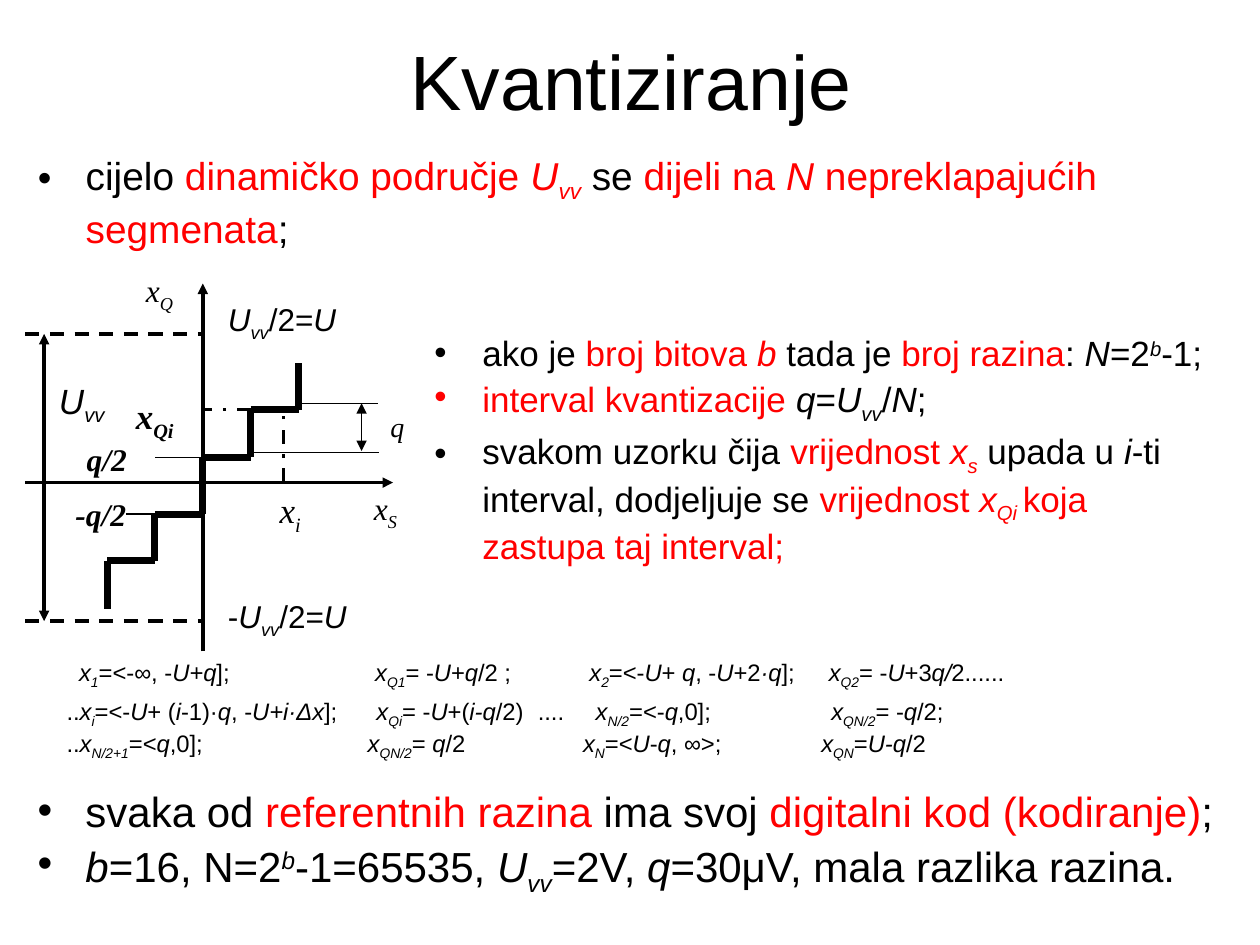
from dataclasses import dataclass
from itertools import pairwise
from lxml.etree import SubElement as Sub
from pptx import Presentation
from pptx.dml.color import RGBColor as Rgb
from pptx.enum.dml import MSO_LINE as Dash
from pptx.enum.shapes import MSO_CONNECTOR as Conn
from pptx.enum.text import MSO_ANCHOR as Anchor, MSO_AUTO_SIZE as Fit, PP_ALIGN as Align
from pptx.oxml.ns import qn
from pptx.util import Inches, Pt


@dataclass(frozen=True)
class Theme:
    sans: str = "Arial"
    serif: str = "Times New Roman"
    ink: str = "000000"
    red: str = "FF0000"
    title: float = 44
    lead: float = 22.2
    close: float = 24
    text: float = 20
    label: float = 18
    small: float = 16
    math: float = 13.6
    thin: float = 0.75
    mid: float = 2
    bold: float = 4


T = Theme()

# Content: a run is (text, style); r red, i italic, b bold, _ subscript, ^ superscript
TITLE = [("Kvantiziranje", "")]
LEAD = [
    [("cijelo ", ""), ("dinamičko područje ", "r"), ("U", "ri"), ("vv", "ri_"),
     (" se ", ""), ("dijeli na ", "r"), ("N", "ri"),
     (" nepreklapajućih segmenata", "r"), (";", "")],
]
RULES = [
    [("ako je ", ""), ("broj bitova ", "r"), ("b", "ri"), (" tada je ", ""),
     ("broj razina", "r"), (": ", ""), ("N", "i"), ("=2", ""), ("b", "i^"), ("-1;", "")],
    [("interval kvantizacije ", "r"), ("q", "i"), ("=", ""), ("U", "i"), ("vv", "i_"),
     ("/", ""), ("N", "i"), (";", "")],
    [("svakom uzorku čija ", ""), ("vrijednost ", "r"), ("x", "ri"), ("s", "ri_"),
     (" upada u ", ""), ("i", "i"), ("-ti interval, dodjeljuje se ", ""),
     ("vrijednost ", "r"), ("x", "ri"), ("Qi ", "ri_"),
     ("koja zastupa taj interval;", "r")],
]
CLOSE = [
    [("svaka od ", ""), ("referentnih razina", "r"), (" ima svoj ", ""),
     ("digitalni kod (kodiranje)", "r"), (";", "")],
    [("b", "i"), ("=16, N=2", ""), ("b", "i^"), ("-1=65535, ", ""), ("U", "i"),
     ("vv", "i_"), ("=2V, ", ""), ("q", "i"), ("=30μV, mala razlika razina.", "")],
]
# Formula rows: tab stops, line spacing, runs
MATH = [
    ((0.1, 2.45, 4.15, 6.05), 1,
     [("\t", ""), ("x", "i"), ("1", "i_"), ("=<-∞, -", ""), ("U+q", "i"), ("];\t", ""),
      ("x", "i"), ("Q1", "i_"), ("= -", ""), ("U", "i"), ("+", ""), ("q", "i"),
      ("/2 ;\t", ""), ("x", "i"), ("2", "i_"), ("=<-", ""), ("U", "i"), ("+ ", ""),
      ("q", "i"), (", -", ""), ("U", "i"), ("+2", ""), ("·q", "i"), ("];\t", ""),
      ("x", "i"), ("Q2", "i_"), ("= -", ""), ("U", "i"), ("+3", ""), ("q/", "i"),
      ("2......", "")]),
    ((2.46, 3.74, 4.2, 6.07), 1,
     [("..", ""), ("x", "i"), ("i", "i_"), ("=<-", ""), ("U", "i"), ("+ (", ""),
      ("i", "i"), ("-1)·", ""), ("q", "i"), (", -", ""), ("U+i·Δx", "i"), ("];\t", ""),
      ("x", "i"), ("Qi", "i_"), ("= -", ""), ("U", "i"), ("+(", ""), ("i-q", "i"),
      ("/2)\t....\t", ""), ("x", "i"), ("N/2", "i_"), ("=<-", ""), ("q", "i"),
      (",0];\t", ""), ("x", "i"), ("QN/2", "i_"), ("= -", ""), ("q", "i"), ("/2;", "")]),
    ((2.39, 4.1, 5.99), 0.6,
     [("..", ""), ("x", "i"), ("N/2+1", "i_"), ("=<", ""), ("q", "i"), (",0];\t", ""),
      ("x", "i"), ("QN/2", "i_"), ("=", ""), (" q", "i"), ("/2\t", ""),
      ("x", "i"), ("N", "i_"), ("=<", ""), ("U", "i"), ("-", ""), ("q", "i"),
      (", ∞>;\t", ""), ("x", "i"), ("QN", "i_"), ("=", ""), ("U-q", "i"), ("/2", "")]),
]
# Graph labels: box, font, size, runs
LABELS = [
    ((2.12, 3.83, 0.51, 0.39), T.serif, T.text, [("x", "i"), ("i", "i_")]),
    ((0.98, 3.08, 0.63, 0.44), T.serif, T.text, [("x", "bi"), ("Qi", "bi_")]),
    ((2.87, 3.83, 0.5, 0.38), T.serif, T.label, [("x", "i"), ("S", "i_")]),
    ((1.06, 2.1, 0.58, 0.39), T.serif, T.label, [("x", "i"), ("Q", "i_")]),
    ((3, 3.2, 0.35, 0.37), T.serif, T.small, [("q", "i")]),
    ((0.59, 3.44, 0.63, 0.37), T.serif, T.label, [("q/2", "bi")]),
    ((0.5, 3.88, 0.75, 0.38), T.serif, T.label, [("-q/2", "bi")]),
    ((0.37, 2.96, 0.56, 0.48), T.sans, T.text, [("U", "i"), ("vv", "i_")]),
    ((1.71, 2.33, 1.06, 0.44), T.sans, T.label,
     [("U", "i"), ("vv", "i_"), ("/2=", ""), ("U", "i")]),
    ((1.71, 4.69, 1.14, 0.44), T.sans, T.label,
     [("-", ""), ("U", "i"), ("vv", "i_"), ("/2=", ""), ("U", "i")]),
]
# Graph geometry: origin, column step, stair levels, full range
OX, OY, STEP = 1.61, 3.83, 0.38
LEVELS = [4.83, 4.45, 4.08, 3.63, 3.25, 2.88]
COLS = [OX + k * STEP for k in range(-2, 3)]
TOP, LOW, LEFT = 2.65, 4.93, 0.2
STAIR = [(x, LEVELS[k + j]) for k, x in enumerate(COLS) for j in (0, 1)]
# Lines: from, to, width, dash, arrowheads
LINES = [
    ((OX, 5.17), (OX, 2.25), T.mid, None, ["tail"]),
    ((LEFT, OY), (3.12, OY), T.mid, None, ["tail"]),
    *[(a, b, T.bold, None, []) for a, b in pairwise(STAIR)],
    ((2.25, OY), (2.25, 3.25), T.mid, Dash.DASH_DOT, []),
    ((COLS[3], 3.25), (OX, 3.25), T.mid, Dash.DASH_DOT, []),
    ((2.01, 3.59), (3.01, 3.59), T.thin, None, []),
    ((COLS[4], 3.2), (3, 3.2), T.thin, None, []),
    ((2.87, 3.2), (2.87, 3.58), T.thin, None, ["head", "tail"]),
    ((OX, 3.63), (COLS[1], 3.63), T.thin, None, []),
    ((COLS[1], 4.08), (1, 4.08), T.thin, None, []),
    *[((LEFT, y), (OX, y), T.mid, Dash.DASH, []) for y in (LOW, TOP)],
    ((0.35, LOW), (0.35, TOP), T.mid, None, ["head", "tail"]),
]


def place(shape, box):
    shape.left, shape.top, shape.width, shape.height = map(Inches, box)
    shape.text_frame.word_wrap = True
    shape.text_frame.auto_size = Fit.NONE
    return shape.text_frame


def write(para, runs, size, face=T.sans):
    for text, style in runs:
        run = para.add_run()
        run.text = text
        font = run.font
        font.name, font.size = face, Pt(size)
        font.bold, font.italic = "b" in style, "i" in style
        font.color.rgb = Rgb.from_string(T.red if "r" in style else T.ink)
        for mark, base in (("_", "-25000"), ("^", "30000")):
            if mark in style:
                run._r.get_or_add_rPr().set("baseline", base)


def paras(frame, items):
    for n, item in enumerate(items):
        para = frame.add_paragraph() if n else frame.paragraphs[0]
        yield n, para, item


def bullets(frame, items, size, gap, tight):
    for n, para, runs in paras(frame, items):
        props = para._p.get_or_add_pPr()
        props.set("marL", str(Inches(0.38)))
        props.set("indent", str(-Inches(0.38)))
        color = T.red if "r" in runs[0][1] else T.ink
        Sub(Sub(props, qn("a:buClr")), qn("a:srgbClr"), val=color)
        Sub(props, qn("a:buFont"), typeface=T.sans)
        Sub(props, qn("a:buChar"), char="•")
        para.space_before = Pt(gap if n else 0)
        para.line_spacing = 0.8 if n < tight else 1.0
        write(para, runs, size)


def line(slide, start, end, width, dash, heads):
    conn = slide.shapes.add_connector(Conn.STRAIGHT, *map(Inches, start + end))
    conn.line.color.rgb = Rgb.from_string(T.ink)
    conn.line.width = Pt(width)
    if dash:
        conn.line.dash_style = dash
    for head in heads:
        Sub(conn.line._get_or_add_ln(), qn(f"a:{head}End"), type="triangle")
    Sub(conn._element.spPr, qn("a:effectLst"))


def main():
    deck = Presentation()
    deck.slide_width, deck.slide_height = Inches(10), Inches(7.5)
    slide = deck.slides.add_slide(deck.slide_layouts[1])

    def box(area):
        return place(slide.shapes.add_textbox(0, 0, 0, 0), area)

    # Title and bullet lists
    head = place(slide.shapes.title, (0.51, 0.21, 9, 0.85))
    head.vertical_anchor = Anchor.MIDDLE
    head.paragraphs[0].alignment = Align.CENTER
    write(head.paragraphs[0], TITLE, T.title)
    bullets(place(slide.placeholders[1], (0.2, 1.15, 9.8, 0.94)), LEAD, T.lead, 6, 0)
    bullets(box((0.2, 6.26, 9.8, 1.24)), CLOSE, T.close, 6, 2)
    bullets(box((3.35, 2.65, 6.34, 2.13)), RULES, T.text, 5, 2)

    # Graph
    for item in LINES:
        line(slide, *item)
    for area, face, size, runs in LABELS:
        frame = box(area)
        frame.word_wrap = face == T.serif
        write(frame.paragraphs[0], runs, size, face)

    # Formula rows
    for n, para, (stops, space, runs) in paras(box((0.43, 5.17, 9.57, 1.1)), MATH):
        tabs = Sub(para._p.get_or_add_pPr(), qn("a:tabLst"))
        for stop in stops:
            Sub(tabs, qn("a:tab"), pos=str(Inches(stop)), algn="l")
        para.space_before = Pt(4 if n else 0)
        para.line_spacing = float(space)
        write(para, runs, T.math)

    deck.save("out.pptx")


if __name__ == "__main__":
    main()
